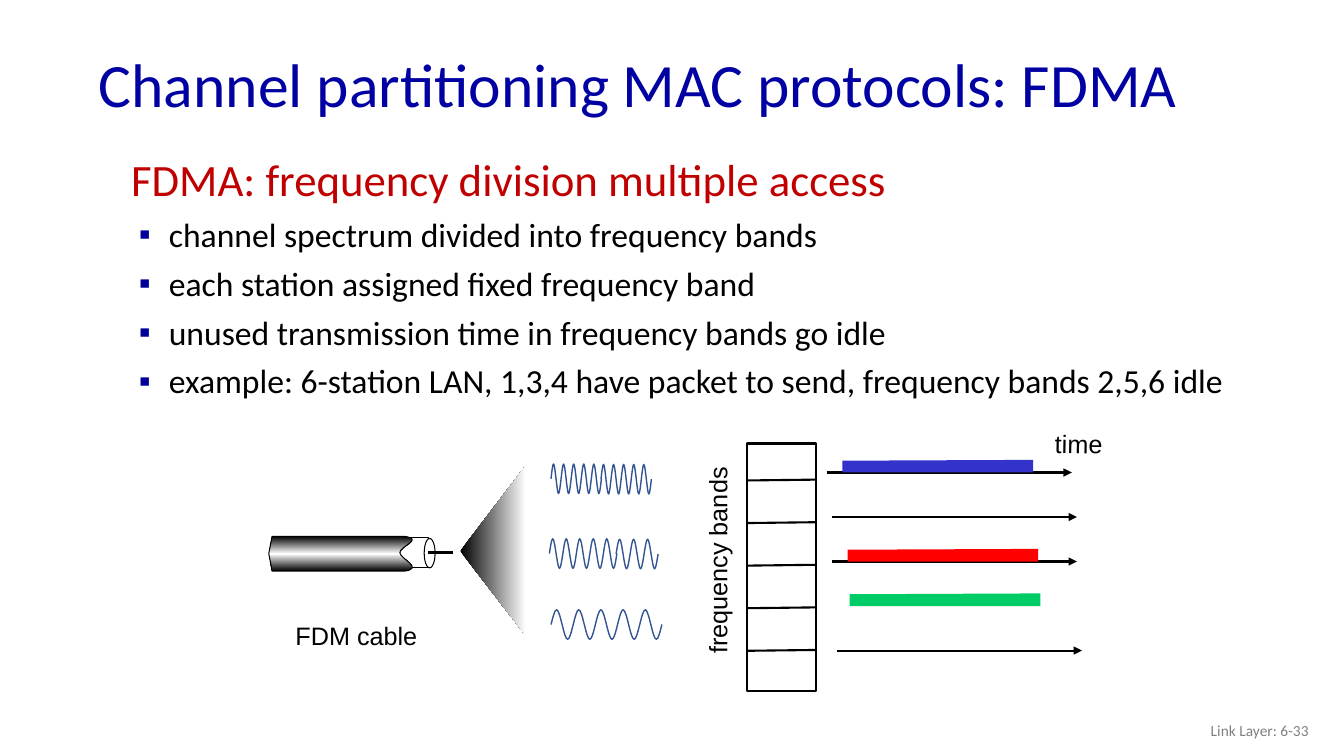
"""Build the FDMA slide on a grid of 160 columns by 90 rows."""
from lxml.etree import SubElement
from pptx import Presentation
from pptx.dml.color import RGBColor
from pptx.enum.shapes import MSO_CONNECTOR as Connector, MSO_SHAPE as Preset
from pptx.enum.text import MSO_ANCHOR as Anchor, MSO_AUTO_SIZE as AutoSize, PP_ALIGN as Align
from pptx.oxml.ns import qn
from pptx.util import Inches, Pt

WIDTH, HEIGHT = Inches(13.33), Inches(7.5)
COLUMN, ROW = WIDTH / 160, HEIGHT / 90

BLACK = RGBColor(0x00, 0x00, 0x00)
WHITE = RGBColor(0xFF, 0xFF, 0xFF)
GREY = RGBColor(0x80, 0x80, 0x80)
TITLE_BLUE = RGBColor(0x00, 0x00, 0xA3)
BULLET_BLUE = RGBColor(0x00, 0x00, 0x99)
HEADING_RED = RGBColor(0xC0, 0x00, 0x00)
WAVE_BLUE = RGBColor(0x32, 0x54, 0x91)
BAND_BLUE = RGBColor(0x33, 0x33, 0xCC)
BAND_RED = RGBColor(0xFF, 0x00, 0x00)
BAND_GREEN = RGBColor(0x00, 0xCC, 0x66)

HEADING = "FDMA: frequency division multiple access"
BULLETS = [
    "channel spectrum divided into frequency bands",
    "each station assigned fixed frequency band",
    "unused transmission time in frequency bands go idle",
    "example: 6-station LAN, 1,3,4 have packet to send, frequency bands 2,5,6 idle",
]
TIMELINES = [
    (98.4, BAND_BLUE, True),
    (99, None, True),
    (99, BAND_RED, True),
    (99.25, BAND_GREEN, False),
    (99.6, None, True),
]
WAVES = [
    (65.6, 74.35, 13.2, 5),
    (65.6, 57, 6, 5),
    (71.55, 57.05, 6, 5),
    (65.4, 65.9, 8.04, 5),
    (73.35, 65.95, 5, 3),
]


def grid(*lengths):
    """Turn alternating columns and rows into slide lengths."""
    return [int(length * (ROW if index % 2 else COLUMN)) for index, length in enumerate(lengths)]


def style_font(para, name, size, colour):
    """Set the font of a whole paragraph."""
    para.font.name, para.font.size = name, Pt(size)
    para.font.color.rgb = colour


def place(box, area):
    """Move a shape to an area of the grid."""
    box.left, box.top, box.width, box.height = grid(*area)


def add_label(page, text, area, name="Arial", size=18, colour=BLACK, rotation=0):
    """Add a one-line text box."""
    box = page.shapes.add_textbox(*grid(*area))
    box.rotation = rotation
    box.text_frame.word_wrap = False
    box.text_frame.auto_size = AutoSize.SHAPE_TO_FIT_TEXT
    para = box.text_frame.paragraphs[0]
    para.text = text
    style_font(para, name, size, colour)
    return box


def finish(shape, fill=None, line=None, weight=0.75):
    """Give a shape its fill and outline, without a shadow."""
    shape.shadow.inherit = False
    if fill is None:
        shape.fill.background()
    else:
        shape.fill.solid()
        shape.fill.fore_color.rgb = fill
    if line is None:
        shape.line.fill.background()
    else:
        shape.line.color.rgb = line
        shape.line.width = Pt(weight)
    return shape


def add_preset(page, preset, area, weight=0.75):
    """Add a white preset shape with a black outline."""
    return finish(page.shapes.add_shape(preset, *grid(*area)), WHITE, BLACK, weight)


def add_outline(page, points, closed=True, bends=(), **style):
    """Add a freeform; each bend merges three segments into one cubic curve."""
    corners = [grid(*point) for point in points]
    builder = page.shapes.build_freeform(*corners[0])
    builder.add_line_segments(corners[1:], close=closed)
    shape = builder.convert_to_shape()
    outline = next(shape._element.iter(qn("a:path")))
    segments = outline.findall(qn("a:lnTo"))
    for first in bends:
        curve = SubElement(outline, qn("a:cubicBezTo"))
        segments[first].addprevious(curve)
        for segment in segments[first:first + 3]:
            curve.append(segment[0])
            outline.remove(segment)
    return finish(shape, **style)


def shade(shape, angle, colours):
    """Fill a shape with evenly spaced gradient stops."""
    shape.fill.gradient()
    shape.fill.gradient_angle = angle
    stops = shape._element.spPr.find(qn("a:gradFill")).find(qn("a:gsLst"))
    for stop in list(stops):
        stops.remove(stop)
    for index, colour in enumerate(colours):
        stop = SubElement(stops, qn("a:gs"), pos=str(index * 100000 // (len(colours) - 1)))
        SubElement(stop, qn("a:srgbClr"), val=str(colour))


def add_line(page, start, end, weight=1.5, arrow=False):
    """Add a straight black line, with an arrowhead if wanted."""
    line = page.shapes.add_connector(Connector.STRAIGHT, *grid(*start, *end))
    line.line.color.rgb = BLACK
    line.line.width = Pt(weight)
    properties = line._element.spPr
    if arrow:
        SubElement(properties.find(qn("a:ln")), qn("a:tailEnd"), type="triangle")
    SubElement(properties, qn("a:effectLst"))


def add_wave(page, left, middle, width, cycles):
    """Add a wave with one curve between each crest and trough."""
    half, swing = width / cycles / 2, 1.76
    turns = [(left + half * (index + 0.5), middle + swing * (1 if index % 2 else -1))
             for index in range(2 * cycles)]
    anchors = [(left, middle), *turns, (left + width, middle)]
    points = anchors[:1]
    for (x, y), (next_x, next_y) in zip(anchors, anchors[1:]):
        third = (next_x - x) / 3
        leave = (y + next_y) / 2 if y == middle else y
        arrive = (y + next_y) / 2 if next_y == middle else next_y
        points += [(x + third, leave), (next_x - third, arrive), (next_x, next_y)]
    add_outline(page, points, closed=False, bends=range(0, len(points) - 1, 3),
                line=WAVE_BLUE, weight=1)


def fill_title(page):
    """Write the slide title."""
    title = page.shapes.title
    place(title, (10.56, 4.56, 138, 11.76))
    frame = title.text_frame
    frame.text = "Channel partitioning MAC protocols: FDMA"
    frame.auto_size, frame.vertical_anchor = AutoSize.NONE, Anchor.MIDDLE
    para = frame.paragraphs[0]
    para.alignment, para.line_spacing = Align.LEFT, 0.9
    style_font(para, "Calibri", 44, TITLE_BLUE)


def fill_body(page):
    """Write the heading and the bulleted list."""
    body = page.placeholders[1]
    place(body, (14.4, 18.45, 137.3, 31.4))
    frame = body.text_frame
    frame.text = "\n".join([HEADING, *BULLETS])
    frame.auto_size, frame.vertical_anchor = AutoSize.NONE, Anchor.TOP
    for index, para in enumerate(frame.paragraphs):
        properties = para._p.get_or_add_pPr()
        properties.set("marL", str(Pt(27)))
        properties.set("indent", str(-Pt(21.5 if index else 27)))
        para.space_before = Pt(6 if index else 6.4)
        para.line_spacing = 1.0 if index else 0.85
        if index:
            SubElement(SubElement(properties, qn("a:buClr")), qn("a:srgbClr"), val=str(BULLET_BLUE))
            SubElement(properties, qn("a:buFont"), typeface="Arial")
            SubElement(properties, qn("a:buChar"), char="▪")
            style_font(para, "Calibri", 24, BLACK)
        else:
            SubElement(properties, qn("a:buNone"))
            style_font(para, "Calibri", 32, HEADING_RED)


def draw_bands(page):
    """Draw the stack of frequency bands and their timelines."""
    add_preset(page, Preset.RECTANGLE, (88.92, 52.8, 8.28, 29.5), 1.5)
    for index in range(5):
        row = 57.2 + 5.07 * index
        add_line(page, (88.9, row), (97.1, row - 0.1))
    for index, (start, colour, has_arrow) in enumerate(TIMELINES):
        row = 56.25 + 5.3 * index
        if has_arrow:
            add_line(page, (start, row), (start + 29.2, row), arrow=True)
        if colour:
            left, right = start + 1.9, start + 24.6
            add_outline(page, [(left, row), (left, row - 1.4), (right, row - 1.5), (right, row)],
                        fill=colour)
    add_label(page, "frequency bands", (73.1, 64.3, 24.6, 4.8), rotation=270)
    add_label(page, "time", (124.4, 50.4, 8.6, 4.8), rotation=1.1)


def draw_cable(page):
    """Draw the cable, the cone that spreads from it and the waves."""
    cone = add_outline(page, [(62.6, 55.4), (54.8, 65.6), (62.6, 75.7)])
    shade(cone, 0, [BLACK, WHITE])
    add_preset(page, Preset.RECTANGLE, (47.5, 64, 3.5, 3.6))
    sheath = add_outline(page, [
        (32.4, 63.85), (32, 65.9), (32.4, 68), (48.1, 68),
        (50.6, 67.7), (47.6, 66.5), (47.6, 65.8),
        (47.6, 65), (50.6, 64.2), (48.1, 63.85),
    ], bends=(3, 6), line=BLACK)
    shade(sheath, 90, [BLACK, WHITE, BLACK])
    add_preset(page, Preset.OVAL, (50.5, 64.1, 1.3, 3.5))
    add_line(page, (51, 65.8), (53.9, 65.8), weight=2.25)
    add_label(page, "FDM cable", (34, 73.2, 16.9, 4.8))
    for wave in WAVES:
        add_wave(page, *wave)


def main():
    """Build and save the deck."""
    deck = Presentation()
    deck.slide_width, deck.slide_height = WIDTH, HEIGHT
    page = deck.slides.add_slide(deck.slide_layouts[1])
    fill_title(page)
    footer = add_label(page, "Link Layer: 6-33", (121, 84.6, 36, 4.8), "Calibri", 11, GREY)
    frame = footer.text_frame
    frame.word_wrap, frame.auto_size = True, AutoSize.NONE
    frame.vertical_anchor = Anchor.MIDDLE
    frame.paragraphs[0].alignment = Align.RIGHT
    fill_body(page)
    draw_bands(page)
    draw_cable(page)
    deck.save("out.pptx")


if __name__ == "__main__":
    main()
